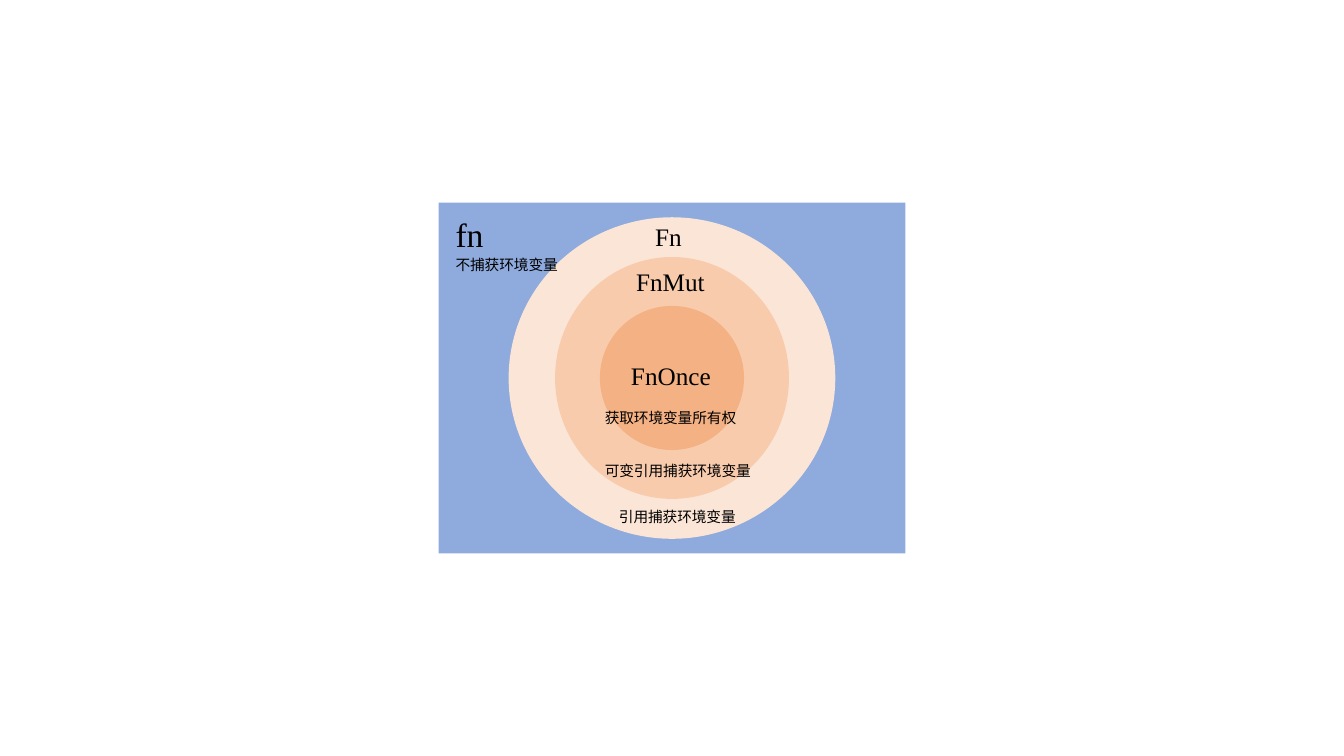
import pptx
import pptx.dml.color
import pptx.enum.shapes
import pptx.enum.text
import pptx.oxml
import pptx.oxml.ns
import pptx.util
from pptx.util import Inches

RGBColor = pptx.dml.color.RGBColor
Shape = pptx.enum.shapes.MSO_SHAPE

BLACK = RGBColor(0x00, 0x00, 0x00)
BLUE = RGBColor(0x8F, 0xAA, 0xDC)
PALE_ORANGE = RGBColor(0xFB, 0xE5, 0xD6)
LIGHT_ORANGE = RGBColor(0xF8, 0xCB, 0xAD)
ORANGE = RGBColor(0xF4, 0xB1, 0x83)

CENTER_X, CENTER_Y = 6.665, 3.75


class ClosureDiagram:
    """Draws the nested closure traits in one group on a slide."""

    name_font = "Times New Roman"
    note_font = "Noto Sans CJK SC"

    def __init__(self, slide):
        self.slide = slide
        self.group = slide.shapes.add_group_shape()

    def region(self, kind, width, height, color):
        shape = self.group.shapes.add_shape(
            kind, Inches(CENTER_X - width / 2), Inches(CENTER_Y - height / 2),
            Inches(width), Inches(height))
        shape.shadow.inherit = False
        shape.fill.solid()
        shape.fill.fore_color.rgb = color
        shape.line.fill.background()

    def text(self, text, left, top, width, height, size, font):
        box = self.group.shapes.add_textbox(
            Inches(left), Inches(top), Inches(width), Inches(height))
        frame = box.text_frame
        frame.text = text
        frame.word_wrap = False
        frame.auto_size = pptx.enum.text.MSO_AUTO_SIZE.SHAPE_TO_FIT_TEXT
        paragraph = frame.paragraphs[0]
        paragraph.alignment = pptx.enum.text.PP_ALIGN.JUSTIFY
        run = paragraph.runs[0]
        run.font.size = pptx.util.Pt(size)
        run.font.color.rgb = BLACK
        run.font.name = font
        east_asian = pptx.oxml.parse_xml(
            f'<a:ea {pptx.oxml.ns.nsdecls("a")} typeface="{font}"/>')
        run.font._element.append(east_asian)

    def trait(self, text, left, top, width, size=18):
        self.text(text, left, top, width, 0.53, size, self.name_font)

    def note(self, text, left, top, width):
        self.text(text, left, top, width, 0.32, 10.5, self.note_font)


presentation = pptx.Presentation()
presentation.slide_width = Inches(13.33)
presentation.slide_height = Inches(7.5)
slide = presentation.slides.add_slide(presentation.slide_layouts[6])
diagram = ClosureDiagram(slide)

diagram.region(Shape.RECTANGLE, 4.63, 3.48, BLUE)
for width, height, color in (
    (3.24, 3.19, PALE_ORANGE),
    (2.32, 2.4, LIGHT_ORANGE),
    (1.43, 1.43, ORANGE),
):
    diagram.region(Shape.OVAL, width, height, color)

diagram.trait("fn", 4.42, 2.07, 0.5, size=24)
diagram.trait("Fn", 6.4, 2.15, 0.5)
diagram.trait("FnMut", 6.21, 2.59, 1.05)
diagram.trait("FnOnce", 6.16, 3.53, 1.02)

for text, left, top, width in (
    ("不捕获环境变量", 4.42, 2.49, 1.24),
    ("引用捕获环境变量", 6.04, 4.99, 1.39),
    ("可变引用捕获环境变量", 5.9, 4.53, 1.68),
    ("获取环境变量所有权", 5.9, 4.01, 1.53),
):
    diagram.note(text, left, top, width)

presentation.save("out.pptx")
